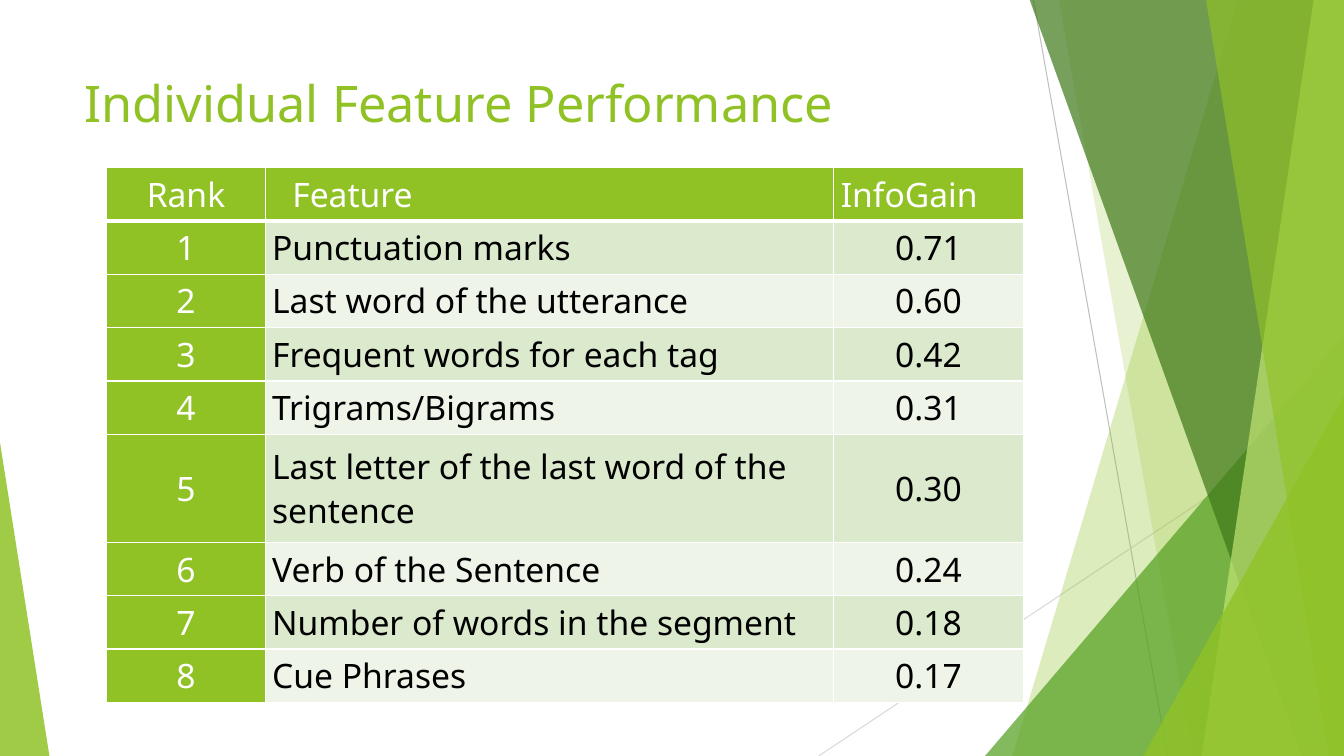
import pptx
import pptx.util
import pptx.dml.color
import pptx.enum.shapes
import pptx.enum.text
import pptx.oxml
import pptx.oxml.ns
from lxml import etree

Inches = pptx.util.Inches
Pt = pptx.util.Pt
qn = pptx.oxml.ns.qn
ALIGN = pptx.enum.text.PP_ALIGN
ANCHOR = pptx.enum.text.MSO_ANCHOR

COLORS = {
    "lime": "90C226", "green": "54A021", "forest": "3F7819", "pale": "C0E474",
    "band_dark": "DBE9CD", "band_light": "EEF4E8", "white": "FFFFFF",
    "black": "000000", "grey": "BFBFBF", "light_grey": "D9D9D9",
}
WIDTH, HEIGHT = 13.33, 7.5


def rgb(color):
    return pptx.dml.color.RGBColor.from_string(COLORS[color])


class FacetSlide:
    font = "Noto Sans"

    def __init__(self, presentation):
        self.slide = presentation.slides.add_slide(presentation.slide_layouts[5])
        self.shapes = self.slide.shapes

    def style_text(self, paragraph, size, color):
        for run in paragraph.runs:
            run.font.name = self.font
            run.font.size = Pt(size)
            run.font.bold = False
            run.font.color.rgb = rgb(color)

    def title(self, text, left, top, width, height):
        title = self.shapes.title
        title.left, title.top = Inches(left), Inches(top)
        title.width, title.height = Inches(width), Inches(height)
        frame = title.text_frame
        frame.text = text
        frame.word_wrap = True
        frame.auto_size = pptx.enum.text.MSO_AUTO_SIZE.NONE
        frame.vertical_anchor = ANCHOR.TOP
        frame.paragraphs[0].alignment = ALIGN.LEFT
        self.style_text(frame.paragraphs[0], 36, "lime")

    def line(self, start, end, color):
        line = self.shapes.add_connector(
            pptx.enum.shapes.MSO_CONNECTOR.STRAIGHT, *map(Inches, start + end))
        line.line.color.rgb = rgb(color)
        line.line.width = Pt(0.75)
        etree.SubElement(line.element.spPr, qn("a:effectLst"))

    def paint(self, shape, color, opacity):
        shape.shadow.inherit = False
        shape.line.fill.background()
        shape.fill.solid()
        shape.fill.fore_color.rgb = rgb(color)
        tint = shape.element.spPr.find(qn("a:solidFill"))[0]
        etree.SubElement(tint, qn("a:alpha")).set("val", str(opacity * 1000))

    def facet(self, top_left, bottom_left, color, opacity):
        corners = [(WIDTH, -0.01), (WIDTH, HEIGHT), (bottom_left, HEIGHT)]
        outline = self.shapes.build_freeform(Inches(top_left), Inches(-0.01))
        outline.add_line_segments([(Inches(x), Inches(y)) for x, y in corners], close=True)
        self.paint(outline.convert_to_shape(), color, opacity)

    def triangle(self, left, top, width, apex, color, opacity):
        triangle = self.shapes.add_shape(
            pptx.enum.shapes.MSO_SHAPE.ISOSCELES_TRIANGLE,
            Inches(left), Inches(top), Inches(width), Inches(HEIGHT - top))
        triangle.adjustments[0] = apex
        self.paint(triangle, color, opacity)

    def borders(self, cell, top, bottom):
        properties = cell._tc.get_or_add_tcPr()
        widths = {"lnL": 1, "lnR": 1, "lnT": top, "lnB": bottom}
        for position, (edge, width) in enumerate(widths.items()):
            border = pptx.oxml.parse_xml(
                f'<a:{edge} {pptx.oxml.ns.nsdecls("a")} w="{Pt(width)}"><a:solidFill>'
                f'<a:srgbClr val="{COLORS["white"]}"/></a:solidFill></a:{edge}>')
            properties.insert(position, border)

    def cell(self, cell, text, fill, color, alignment):
        cell.fill.solid()
        cell.fill.fore_color.rgb = rgb(fill)
        cell.vertical_anchor = ANCHOR.MIDDLE
        cell.margin_left = cell.margin_right = Inches(0.07)
        cell.margin_top = cell.margin_bottom = 0
        cell.text_frame.text = text
        paragraph = cell.text_frame.paragraphs[0]
        paragraph.alignment = alignment
        paragraph.line_spacing = 0.95
        self.style_text(paragraph, 24, color)
        return paragraph

    def ranking(self, left, top, widths, heights, header, features):
        rows = [header] + [(str(rank), *entry) for rank, entry in enumerate(features, 1)]
        table = self.shapes.add_table(
            len(rows), len(widths), Inches(left), Inches(top),
            Inches(sum(widths)), Inches(sum(heights))).table
        for column, width in zip(table.columns, widths):
            column.width = Inches(width)
        for row, height in zip(table.rows, heights):
            row.height = Inches(height)
        for r, row in enumerate(rows):
            for c, text in enumerate(row):
                accent = r == 0 or c == 0
                band = "band_dark" if r % 2 else "band_light"
                centred = c == 0 or (c == 2 and r > 0)
                paragraph = self.cell(
                    table.cell(r, c), text, "lime" if accent else band,
                    "white" if accent else "black",
                    ALIGN.CENTER if centred else ALIGN.LEFT)
                if (r, c) == (0, 1):
                    paragraph._p.get_or_add_pPr().set("indent", str(Inches(0.2)))
                self.borders(table.cell(r, c), 3 if r == 1 else 1, 3 if r == 0 else 1)


def main():
    presentation = pptx.Presentation()
    presentation.slide_width = Inches(WIDTH)
    presentation.slide_height = Inches(HEIGHT)
    page = FacetSlide(presentation)

    page.line((10.25, 0), (11.58, HEIGHT), "grey")
    page.line((WIDTH, 4.03), (8.12, HEIGHT), "light_grey")
    page.facet(12.28, 10.04, "lime", 30)
    page.facet(10.5, 11.83, "lime", 20)
    page.triangle(9.77, 3.33, 3.56, 1, "green", 72)
    page.facet(10.21, 12.91, "forest", 70)
    page.facet(13.03, 11.92, "pale", 70)
    page.facet(11.96, 13.18, "lime", 65)
    page.triangle(11.34, 3.93, 1.99, 1, "lime", 80)
    page.triangle(0, 4.39, 0.49, 0, "lime", 85)

    page.title("Individual Feature Performance", 0.74, 0.67, 9.4, 1.44)
    features = [
        ("Punctuation marks", "0.71"),
        ("Last word of the utterance", "0.60"),
        ("Frequent words for each tag", "0.42"),
        ("Trigrams/Bigrams", "0.31"),
        ("Last letter of the last word of the sentence", "0.30"),
        ("Verb of the Sentence", "0.24"),
        ("Number of words in the segment", "0.18"),
        ("Cue Phrases", "0.17"),
    ]
    row_heights = [0.53] * 5 + [1.07] + [0.53] * 3
    page.ranking(1.06, 1.66, [1.57, 5.64, 1.88], row_heights,
                 ("Rank", "Feature", "InfoGain"), features)
    presentation.save("out.pptx")


if __name__ == "__main__":
    main()
